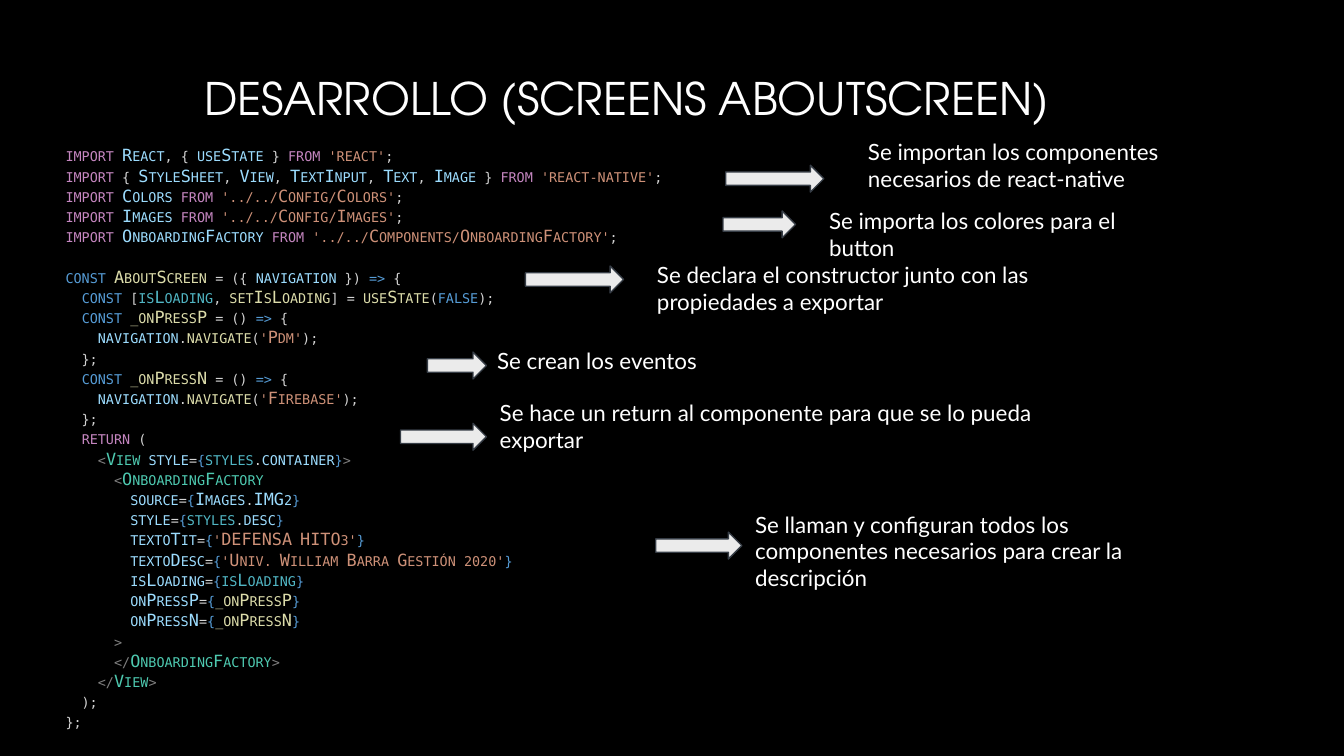
from pptx import Presentation
from pptx.dml.color import RGBColor
from pptx.enum.shapes import MSO_SHAPE
from pptx.util import Inches, Pt


def color(value):
    return RGBColor.from_string(value)


def add_box(left, top, width, height):
    box = page.shapes.add_textbox(Inches(left), Inches(top), Inches(width), Inches(height))
    frame = box.text_frame
    frame.word_wrap = True
    frame.margin_left = frame.margin_right = Inches(0.1)
    frame.margin_top = frame.margin_bottom = Inches(0.1)
    return frame


PINK, SKY, GRAY, ORANGE = "C586C0", "9CDCFE", "D4D4D4", "CE9178"
BLUE, YELLOW, TEAL, GREEN, DIM = "569CD6", "DCDCAA", "51B6C4", "4EC9B0", "808080"
LINE_HEIGHT = Pt(10.83)

deck = Presentation()
deck.slide_width = Inches(10)
deck.slide_height = Inches(10 * 9 / 16)
page = deck.slides.add_slide(deck.slide_layouts[6])
page.background.fill.solid()
page.background.fill.fore_color.rgb = color("000000")

para = add_box(1.42, 0.43, 7.7, 1).paragraphs[0]
span = para.add_run()
span.text = "DESARROLLO (SCREENS ABOUTSCREEN)"
span.font.name = "TeX Gyre Adventor"
span.font.size = Pt(24)
span.font.fill.gradient()
span.font.fill.gradient_angle = 267
for stop, shade in zip(span.font.fill.gradient_stops, ["FFFFFF", "A6A6A6"]):
    stop.color.rgb = color(shade)

code = [
    [("import ", PINK), ("React", SKY), (", { ", GRAY), ("useState", SKY), (" } ", GRAY),
     ("from ", PINK), ("'react'", ORANGE), (";", GRAY)],
    [("import", PINK), (" { ", GRAY), ("StyleSheet", SKY), (", ", GRAY), ("View", SKY),
     (", ", GRAY), ("TextInput", SKY), (", ", GRAY), ("Text", SKY), (", ", GRAY),
     ("Image", SKY), (" } ", GRAY), ("from ", PINK), ("'react-native'", ORANGE), (";", GRAY)],
]
for name, folder in [("Colors", "Config"), ("Images", "Config"), ("OnboardingFactory", "Components")]:
    code.append([("import ", PINK), (f"{name} ", SKY), ("from ", PINK),
                 (f"'../../{folder}/{name}'", ORANGE), (";", GRAY)])

constructor_line = len(code)
code += [
    [("const ", BLUE), ("AboutScreen", YELLOW), (" = ({ ", GRAY), ("navigation", SKY),
     (" }) ", GRAY), ("=>", BLUE), (" {", GRAY)],
    [("  ", GRAY), ("const", BLUE), (" [", GRAY), ("isLoading", TEAL), (", ", GRAY),
     ("setIsLoading", YELLOW), ("] = ", GRAY), ("useState", YELLOW), ("(", GRAY),
     ("false", BLUE), (");", GRAY)],
]
for handler, target in [("_onPressP", "'Pdm'"), ("_onPressN", "'Firebase'")]:
    code += [
        [("  ", GRAY), ("const ", BLUE), (handler, YELLOW), (" = () ", GRAY), ("=>", BLUE), (" {", GRAY)],
        [("    ", GRAY), ("navigation", SKY), (".", GRAY), ("navigate", YELLOW), ("(", GRAY),
         (target, ORANGE), (");", GRAY)],
        [("  };", GRAY)],
    ]
code += [
    [("  ", GRAY), ("return", PINK), (" (", GRAY)],
    [("    ", GRAY), ("<", DIM), ("View ", GREEN), ("style", SKY), ("=", GRAY), ("{", BLUE),
     ("styles", TEAL), (".", GRAY), ("container", SKY), ("}", BLUE), (">", DIM)],
    [("      ", GRAY), ("<", DIM), ("OnboardingFactory", GREEN)],
]
properties = [
    ("source", [("Images", SKY), (".", GRAY), ("IMG2", SKY)]),
    ("style", [("styles", TEAL), (".", GRAY), ("desc", SKY)]),
    ("textoTit", [("'DEFENSA HITO3'", ORANGE)]),
    ("textoDesc", [("'Univ. William Barra Gestión 2020'", ORANGE)]),
    ("isLoading", [("isLoading", TEAL)]),
    ("onPressP", [("_onPressP", YELLOW)]),
    ("onPressN", [("_onPressN", YELLOW)]),
]
for name, value in properties:
    code.append([("        ", GRAY), (name, SKY), ("=", GRAY), ("{", BLUE), *value, ("}", BLUE)])
code += [
    [("      ", GRAY), (">", DIM)],
    [("      ", GRAY), ("</", DIM), ("OnboardingFactory", GREEN), (">", DIM)],
    [("    ", GRAY), ("</", DIM), ("View", GREEN), (">", DIM)],
    [("  );", GRAY)],
    [("};", GRAY)],
]

frame = add_box(0.23, 0.98, 4.97, 4.49)
for index, tokens in enumerate(code):
    para = frame.add_paragraph() if index else frame.paragraphs[0]
    para.line_spacing = LINE_HEIGHT
    if index == constructor_line:
        para.space_before = LINE_HEIGHT
    properties_element = para._p.get_or_add_pPr()
    properties_element.set("marL", str(Inches(0.16)))
    properties_element.set("indent", "0")
    para.font.name = "DejaVu Sans Mono"
    para.font.size = Pt(9)
    for text, shade in tokens:
        span = para.add_run()
        span.text = text
        span.font.color.rgb = color(shade)
        span._r.get_or_add_rPr().set("cap", "small")

for left, top, width in [(5.38, 1.57, 0.54), (5.4, 1.23, 0.73), (3.91, 1.98, 0.73),
                         (4.88, 3.96, 0.64), (2.98, 3.15, 0.64), (3.18, 2.62, 0.44)]:
    arrow = page.shapes.add_shape(MSO_SHAPE.RIGHT_ARROW, Inches(left), Inches(top),
                                  Inches(width), Inches(0.2))
    arrow.shadow.inherit = False
    arrow.fill.solid()
    arrow.fill.fore_color.rgb = color("EBEBEB")
    arrow.line.color.rgb = color("363D46")
    arrow.line.width = Pt(0.75)

notes = [
    (6.36, 0.93, 2.59, 0.65, "Se importan los componentes necesarios de react-native"),
    (6.07, 1.44, 2.59, 0.65, "Se importa los colores para el button"),
    (4.79, 1.84, 3.07, 0.65, "Se declara el constructor junto con las propiedades a exportar"),
    (3.62, 2.87, 4.44, 0.58, "Se hace un return al componente para que se lo pueda exportar"),
    (5.52, 3.7, 3.07, 0.66,
     "Se llaman y configuran todos los componentes necesarios para crear la descripción"),
    (3.6, 2.48, 1.78, 0.41, "Se crean los eventos"),
]
for left, top, width, height, text in notes:
    para = add_box(left, top, width, height).paragraphs[0]
    para.text = text
    para.font.name = "Lato"
    para.font.size = Pt(12)
    para.font.color.rgb = color("FFFFFF")

deck.save("out.pptx")
